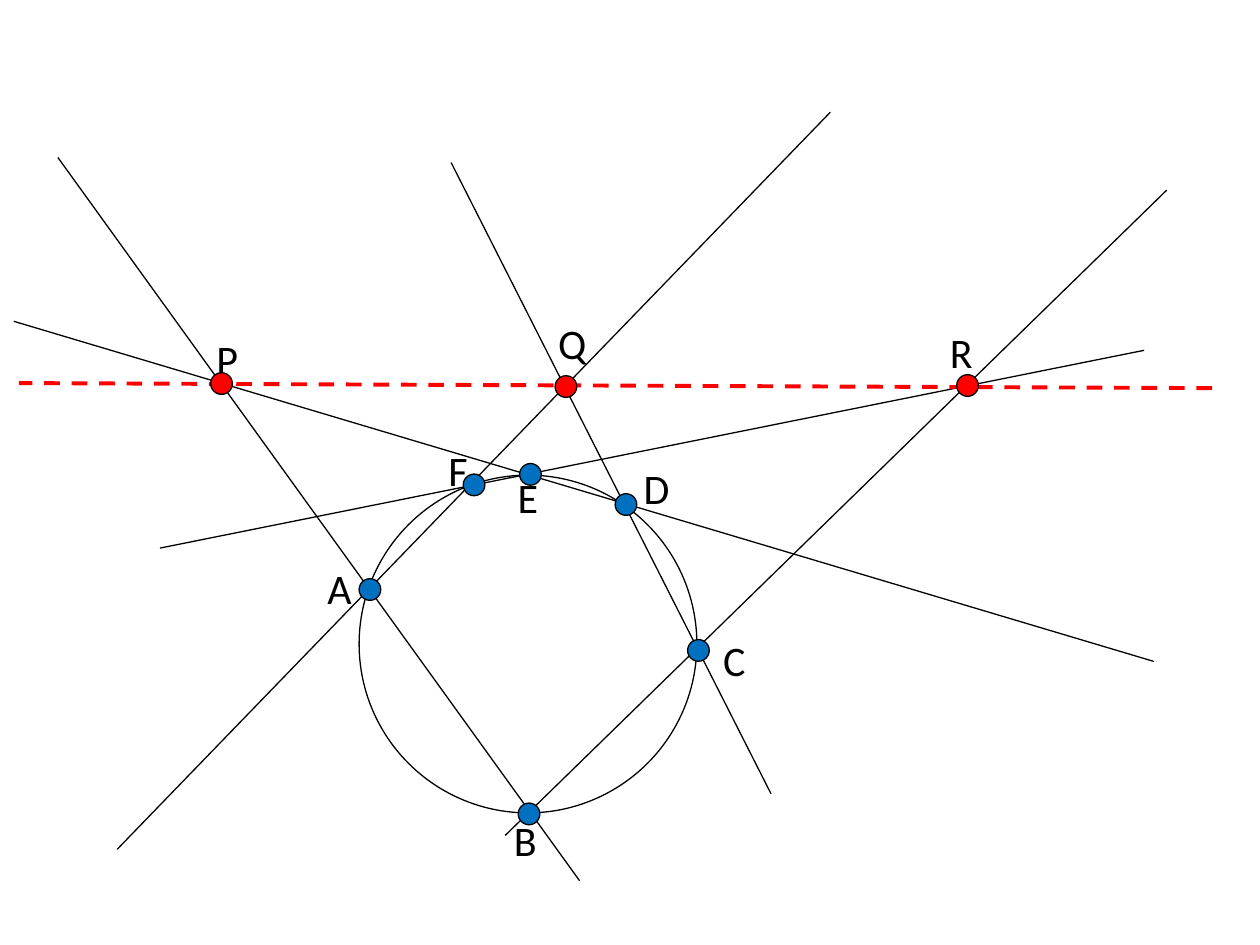
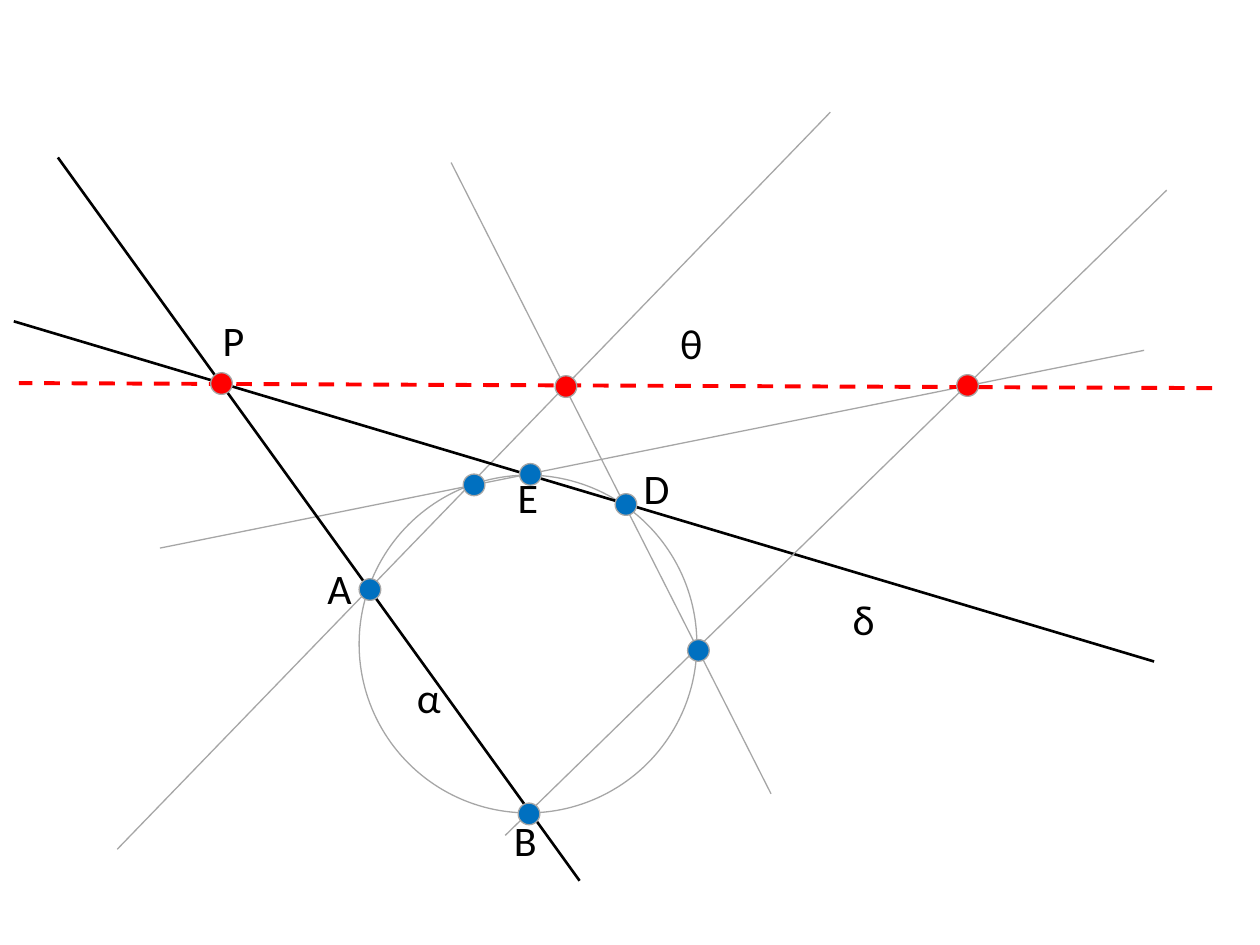
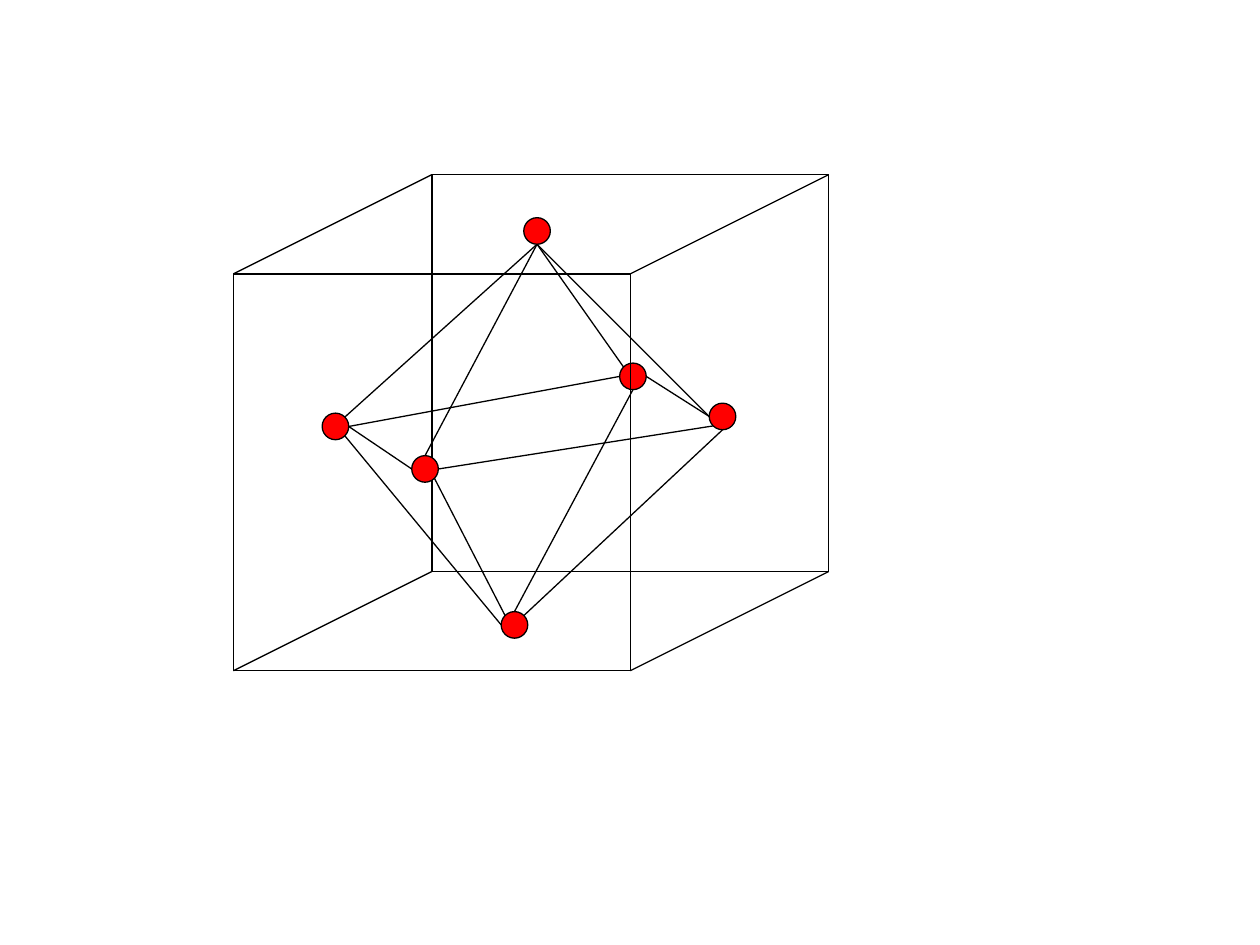
from pptx import Presentation
from pptx.dml.color import RGBColor
from pptx.enum.dml import MSO_LINE
from pptx.enum.shapes import MSO_CONNECTOR, MSO_SHAPE
from pptx.enum.text import MSO_AUTO_SIZE
from pptx.oxml.ns import qn
from pptx.util import Pt
from lxml.etree import SubElement

COLORS = {"black": "000000", "gray": "A6A6A6", "red": "FF0000", "blue": "0070C0"}
FONT = "Calibri"
THIN, BOLD, HEAVY = 0.75, 1.5, 2.25


def color(name):
    return RGBColor.from_string(COLORS[name])


class Sketch:
    def __init__(self):
        self.deck = Presentation()
        self.deck.slide_width, self.deck.slide_height = Pt(720), Pt(540)
        self.slide = None

    def page(self):
        self.slide = self.deck.slides.add_slide(self.deck.slide_layouts[6])

    def shape(self, kind, left, top, size, fill=None, ink="black"):
        item = self.slide.shapes.add_shape(
            kind, Pt(left), Pt(top), Pt(size), Pt(size))
        item.shadow.inherit = False
        if fill:
            item.fill.solid()
            item.fill.fore_color.rgb = color(fill)
        else:
            item.fill.background()
        item.line.color.rgb = color(ink)
        item.line.width = Pt(THIN)

    def square(self, left, top, size):
        self.shape(MSO_SHAPE.RECTANGLE, left, top, size)

    def disc(self, center, size, fill=None, ink="black"):
        x, y = center
        self.shape(MSO_SHAPE.OVAL, x - size / 2, y - size / 2, size, fill, ink)

    def line(self, start, end, ink="black", width=THIN, dash=None):
        item = self.slide.shapes.add_connector(
            MSO_CONNECTOR.STRAIGHT, *(Pt(v) for v in (*start, *end)))
        item.line.color.rgb = color(ink)
        item.line.width = Pt(width)
        if dash:
            item.line.dash_style = dash
        SubElement(item._element.spPr, qn("a:effectLst"))

    def label(self, text, left, top, width, wrap=False):
        box = self.slide.shapes.add_textbox(Pt(left), Pt(top), Pt(width), Pt(36))
        frame = box.text_frame
        frame.word_wrap = wrap
        frame.auto_size = MSO_AUTO_SIZE.SHAPE_TO_FIT_TEXT
        frame.text = text
        font = frame.paragraphs[0].runs[0].font
        font.name, font.size = FONT, Pt(24)
        font.color.rgb = color("black")


CIRCLE, ROUND = (301.7, 368), 193
CHORDS = {
    "FA": ((67, 485.3), (474.5, 64.1)),
    "ED": ((7.9, 183.6), (659.5, 378)),
    "BC": ((288.7, 477.4), (666.7, 108.7)),
    "CD": ((440.6, 453.6), (257.8, 92.9)),
    "EF": ((653.8, 200.2), (91.4, 313.2)),
    "AB": ((33.1, 90), (331.2, 503.3)),
}
AXIS = ((692.6, 221.8), (10.8, 218.9))
POINTS = {
    "P": (126.6, 219.2), "Q": (323.4, 220.9), "R": (552.9, 220.3),
    "C": (399.1, 371.7), "D": (357.7, 288.3), "E": (303.1, 271.1),
    "F": (270.9, 277.1), "A": (211.4, 336.9), "B": (302.3, 465.1),
}
LABELS = {
    "P": (116.6, 187.2, 27.4), "Q": (311.8, 177.8, 31), "R": (535.7, 182.9, 27.4),
    "A": (180, 318.2, 28.8), "B": (286.6, 462.2, 27.4), "C": (406.1, 359.3, 27.4),
    "D": (360.7, 260.6, 29.5), "F": (249.1, 250.6, 26.6), "E": (288.7, 265.7, 26.6),
}


def pascal(art, names, ink="black", strong=()):
    """Draw the hexagon figure, with the strong chords in bold black."""
    art.page()
    art.disc(CIRCLE, ROUND, ink=ink)
    for name, ends in CHORDS.items():
        if name in strong:
            art.line(*ends, width=BOLD)
        else:
            art.line(*ends, ink=ink)
    art.line(*AXIS, ink="red", width=HEAVY, dash=MSO_LINE.DASH)
    for name in names:
        art.label(name, *LABELS[name])
    for name, center in POINTS.items():
        art.disc(center, 12.4, "red" if name in "PQR" else "blue", ink)


SIDE = 226.8
FRONT = (133.4, 156.5)
BACK = (FRONT[0] + SIDE / 2, FRONT[1] - SIDE / 4)
DOT = 15.2
FACES = {
    "top": (306.9, 132), "right": (412.9, 238), "left": (191.7, 243.7),
    "back": (361.7, 215.1), "front": (242.9, 268), "bottom": (294, 357.1),
}
DIAG = 0.71
SITES = {
    "N": (0, -1), "S": (0, 1), "E": (1, 0), "W": (-1, 0),
    "NE": (DIAG, -DIAG), "NW": (-DIAG, -DIAG),
    "SE": (DIAG, DIAG), "SW": (-DIAG, DIAG),
}
EDGES = [
    ("top", "S", "left", "NE"), ("top", "S", "front", "N"),
    ("top", "S", "back", "NW"), ("top", "S", "right", "W"),
    ("front", "SE", "bottom", "NW"), ("bottom", "NE", "right", "S"),
    ("bottom", "N", "back", "S"), ("bottom", "W", "left", "SE"),
    ("back", "E", "right", "W"), ("right", "SW", "front", "E"),
    ("front", "W", "left", "E"), ("back", "W", "left", "E"),
]


def rim(face, site):
    """Return the point on a dot's outline in a compass direction."""
    return tuple(c + d * DOT / 2 for c, d in zip(FACES[face], SITES[site]))


def cube(art):
    art.page()
    art.square(*BACK, SIDE)
    for down in (0, SIDE):
        for over in (SIDE, 0):
            art.line((BACK[0] + over, BACK[1] + down),
                     (FRONT[0] + over, FRONT[1] + down))
    for center in FACES.values():
        art.disc(center, DOT, "red")
    art.square(*FRONT, SIDE)
    for face, site, other, end in EDGES:
        art.line(rim(face, site), rim(other, end))


def main():
    art = Sketch()
    pascal(art, LABELS)
    pascal(art, "ABDE", "gray", ("ED", "AB"))
    art.label("α", 231.1, 380.2, 28.1)
    art.label("δ", 480.2, 335.5, 27.4)
    art.label("θ", 381.6, 177.8, 33.1, wrap=True)
    art.label("P", 120.2, 176.4, 27.4)
    cube(art)
    art.deck.save("out.pptx")


if __name__ == "__main__":
    main()
